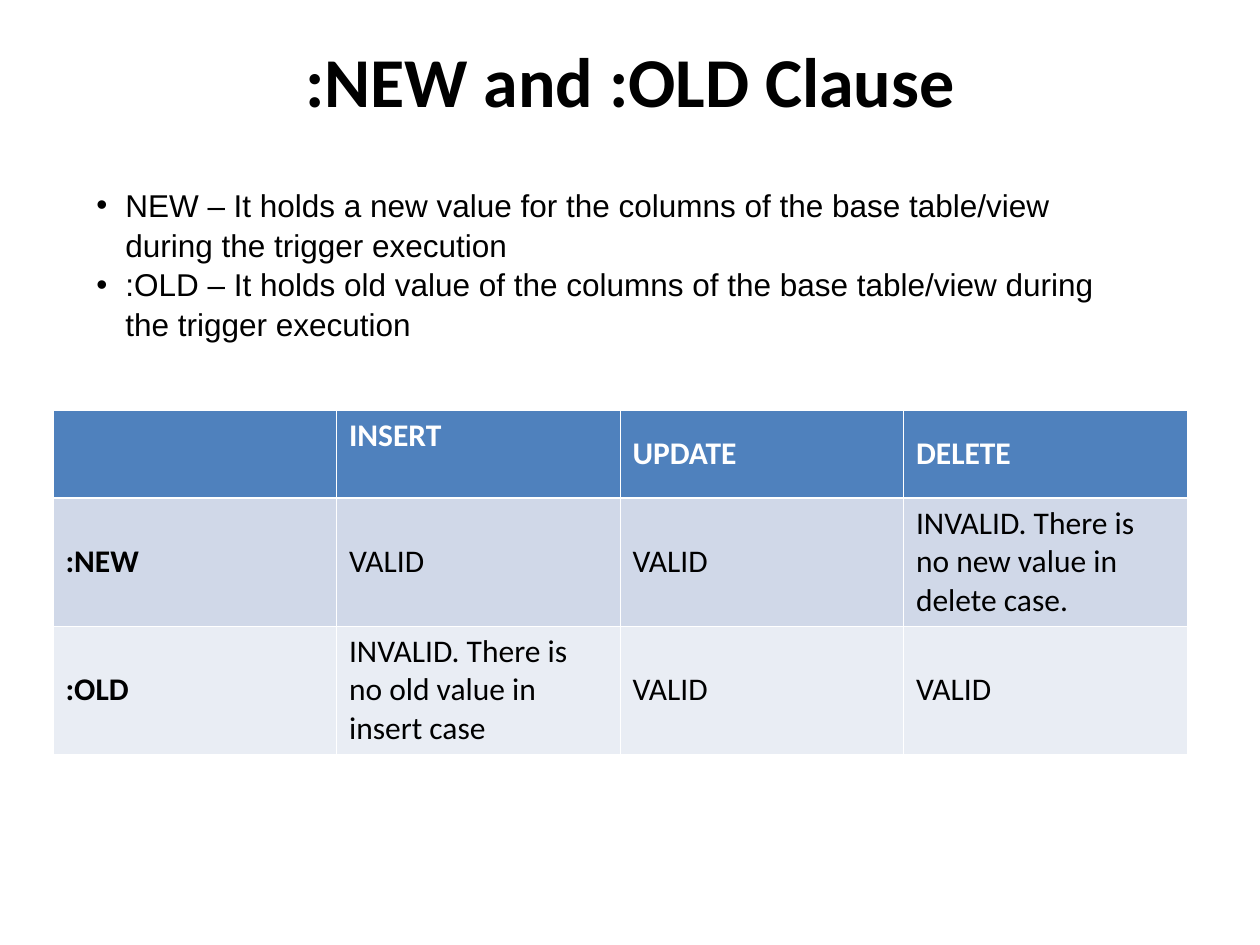
from dataclasses import dataclass

from lxml.etree import SubElement
from pptx import Presentation
from pptx.dml.color import RGBColor
from pptx.enum.text import MSO_ANCHOR, PP_ALIGN
from pptx.oxml.ns import qn
from pptx.util import Emu, Pt

EMU_PER_PX = 914400 / 126


def px(length):
    return Emu(round(length * EMU_PER_PX))


@dataclass(frozen=True)
class Theme:
    heading_font: str = "Calibri"
    body_font: str = "Arial"
    title_size: int = 40
    text_size: int = 18
    ink: str = "000000"
    paper: str = "FFFFFF"
    header: str = "4F81BD"
    row_fills: tuple = ("D0D8E8", "E9EDF4")
    thin_line: float = 0.45
    thick_line: float = 1.47


def write(para, text, *, font, size, color, bold=False, align=PP_ALIGN.LEFT):
    para.alignment = align
    span = para.add_run()
    span.text = text
    span.font.name = font
    span.font.size = Pt(size)
    span.font.bold = bold
    span.font.color.rgb = RGBColor.from_string(color)


def add_bullet(para, hang, font):
    properties = para._p.get_or_add_pPr()
    properties.set("marL", str(hang))
    properties.set("indent", str(-hang))
    SubElement(properties, qn("a:buFont"), typeface=font)
    SubElement(properties, qn("a:buChar"), char="•")


def add_border(cell, side, width, color):
    line = SubElement(cell._tc.get_or_add_tcPr(), qn(f"a:{side}"), w=str(Pt(width)))
    fill = SubElement(line, qn("a:solidFill"))
    SubElement(fill, qn("a:srgbClr"), val=color)


class SlideBuilder:
    def __init__(self, page, theme):
        self.page = page
        self.theme = theme

    def text_frame(self, left, top, width, height, anchor):
        box = self.page.shapes.add_textbox(px(left), px(top), px(width), px(height))
        frame = box.text_frame
        frame.word_wrap = True
        frame.vertical_anchor = anchor
        return frame

    def title(self, text, *area):
        frame = self.text_frame(*area, MSO_ANCHOR.TOP)
        frame.margin_top = 0
        write(frame.paragraphs[0], text, font=self.theme.heading_font,
              size=self.theme.title_size, color=self.theme.ink, bold=True,
              align=PP_ALIGN.CENTER)

    def bullets(self, items, *area):
        frame = self.text_frame(*area, MSO_ANCHOR.BOTTOM)
        for index, text in enumerate(items):
            para = frame.add_paragraph() if index else frame.paragraphs[0]
            para.line_spacing = 1.05
            add_bullet(para, px(29), self.theme.body_font)
            write(para, text, font=self.theme.body_font,
                  size=self.theme.text_size, color=self.theme.ink)

    def table(self, rows, heights, left, top, width):
        shape = self.page.shapes.add_table(
            len(rows), len(rows[0]), px(left), px(top), px(width), px(sum(heights)))
        table = shape.table
        table.horz_banding = False
        for row_index, (texts, height) in enumerate(zip(rows, heights)):
            table.rows[row_index].height = px(height)
            for column_index, text in enumerate(texts):
                self.cell(table.cell(row_index, column_index), text,
                          row_index, column_index)
        return table

    def cell(self, cell, text, row, column):
        theme = self.theme
        is_header = row == 0
        # The heavier rule separates the header from the body
        for side, thick in (("lnL", False), ("lnR", False),
                            ("lnT", row == 1), ("lnB", is_header)):
            add_border(cell, side, theme.thick_line if thick else theme.thin_line,
                       theme.paper)
        fill = theme.header if is_header else theme.row_fills[row - 1]
        cell.fill.solid()
        cell.fill.fore_color.rgb = RGBColor.from_string(fill)
        cell.vertical_anchor = MSO_ANCHOR.MIDDLE
        if text:
            write(cell.text_frame.paragraphs[0], text, font=theme.heading_font,
                  size=theme.text_size, bold=is_header or column == 0,
                  color=theme.paper if is_header else theme.ink)


def main():
    deck = Presentation()
    deck.slide_width, deck.slide_height = px(1260), px(945)
    page = deck.slides.add_slide(deck.slide_layouts[6])
    builder = SlideBuilder(page, Theme())

    # Heading
    builder.title(":NEW and :OLD Clause", 63, 38, 1134, 157)

    # Meaning of each clause
    builder.bullets([
        "NEW – It holds a new value for the columns of the base table/view "
        "during the trigger execution",
        ":OLD – It holds old value of the columns of the base table/view "
        "during the trigger execution",
    ], 84, 147, 1061, 202)

    # Validity by statement
    validity = builder.table([
        ["", "INSERT", "UPDATE", "DELETE"],
        [":NEW", "VALID", "VALID", "INVALID. There is no new value in delete case."],
        [":OLD", "INVALID. There is no old value in insert case", "VALID", "VALID"],
    ], [88, 128, 128], 53, 410, 1134)
    validity.cell(0, 1).vertical_anchor = MSO_ANCHOR.TOP

    deck.save("out.pptx")


if __name__ == "__main__":
    main()
